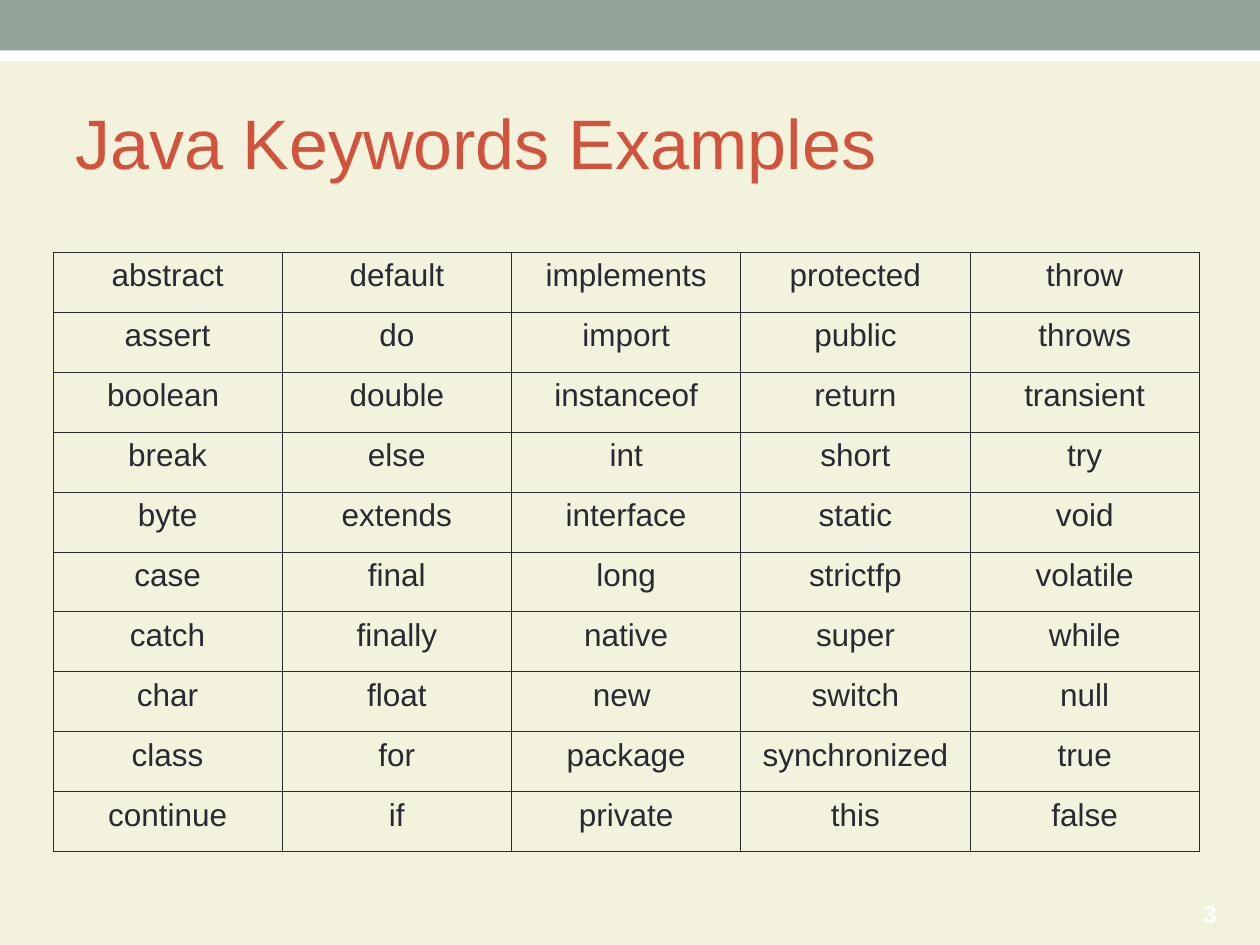
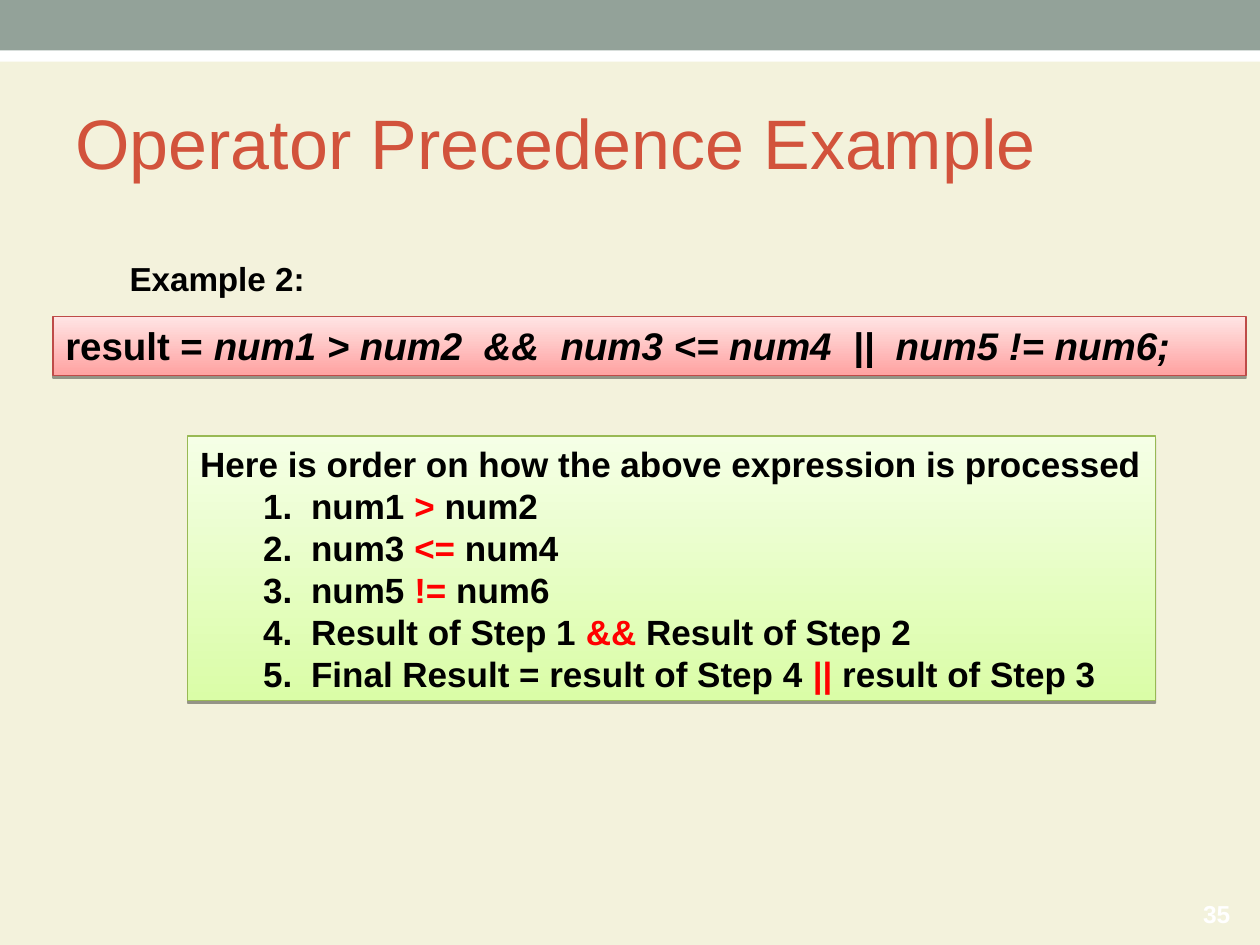
from lxml.etree import SubElement
from pptx import Presentation
from pptx.dml.color import RGBColor
from pptx.enum.shapes import MSO_SHAPE as Shape
from pptx.enum.text import MSO_ANCHOR as Anchor, PP_ALIGN as Align
from pptx.oxml import parse_xml
from pptx.oxml.ns import nsdecls, qn
from pptx.util import Inches, Pt

# Content
KEYWORD_TITLE, KEYWORD_NUMBER = "Java Keywords Examples", "3"
KEYWORDS = [
    ("abstract", "default", "implements", "protected", "throw"),
    ("assert", "do", "import", "public", "throws"),
    ("boolean ", "double", "instanceof", "return", "transient"),
    ("break", "else", "int", "short", "try"),
    ("byte", "extends", "interface", "static", "void"),
    ("case", "final", "long", "strictfp", "volatile"),
    ("catch", "finally", "native", "super", "while"),
    ("char", "float", "new ", "switch", "null"),
    ("class", "for", "package", "synchronized", "true"),
    ("continue", "if", "private", "this", "false"),
]
PRECEDENCE_TITLE, PRECEDENCE_NUMBER = "Operator Precedence Example", "35"
EXAMPLE_LABEL = "Example 2:"
EXPRESSION = ("result = ", "num1 > num2  &&  num3 <= num4  ||  num5 != num6;")
STEPS_HEADING = "Here is order on how the above expression is processed"
STEPS = [  # left side, operator, right side
    ("num1 ", ">", " num2"),
    ("num3 ", "<=", " num4"),
    ("num5 ", "!=", " num6"),
    ("Result of Step 1 ", "&&", " Result of Step 2"),
    ("Final Result = result of Step 4 ", "||", " result of Step 3"),
]

# Shared style
FONT = "Arial"
CREAM = RGBColor(0xF3, 0xF2, 0xDC)
SAGE = RGBColor(0x93, 0xA2, 0x99)
RUST = RGBColor(0xD2, 0x53, 0x3C)
INK = RGBColor(0x29, 0x29, 0x34)
WHITE = RGBColor(0xFF, 0xFF, 0xFF)
BLACK = RGBColor(0, 0, 0)
RED = RGBColor(0xFF, 0, 0)
# Panel colours: bottom, top, outline
PINK_PANEL = (RGBColor(0xFF, 0xA2, 0xA1), RGBColor(0xFF, 0xE5, 0xE5), RGBColor(0xBE, 0x4B, 0x48))
GREEN_PANEL = (RGBColor(0xDA, 0xFD, 0xA7), RGBColor(0xF5, 0xFF, 0xE6), RGBColor(0x98, 0xB9, 0x54))

SLIDE_WIDTH, SLIDE_HEIGHT = 10, 7.5
BANDS = [(0.24, 0.25, WHITE), (0, 0.4, SAGE)]  # top, height, colour
COLUMN_WIDTH, ROW_HEIGHT = 1.82, 0.476


def add_run(paragraph, text, size, color, bold=False, italic=False):
    run = paragraph.add_run()
    run.text = text
    font = run.font
    font.name, font.size, font.bold, font.italic = FONT, Pt(size), bold, italic
    font.color.rgb = color


def add_text(slide, box, text, size, color, bold=False, anchor=Anchor.TOP, wrap=True):
    frame = slide.shapes.add_textbox(*map(Inches, box)).text_frame
    frame.word_wrap, frame.vertical_anchor = wrap, anchor
    add_run(frame.paragraphs[0], text, size, color, bold)


def add_base_slide(presentation, title, number):
    """Slide with background, top bands, title and slide number."""
    slide = presentation.slides.add_slide(presentation.slide_layouts[6])
    slide.background.fill.solid()
    slide.background.fill.fore_color.rgb = CREAM
    for top, height, color in BANDS:
        band = slide.shapes.add_shape(
            Shape.RECTANGLE, 0, Inches(top), Inches(SLIDE_WIDTH), Inches(height))
        band.fill.solid()
        band.fill.fore_color.rgb = color
        band.line.fill.background()
        band.shadow.inherit = False
    add_text(slide, (0.5, 0.58, 9, 1.08), title, 40, RUST, anchor=Anchor.MIDDLE)
    add_text(slide, (9.45, 7.05, 0.5, 0.4), number, 14, WHITE, True, Anchor.MIDDLE, False)
    return slide


def add_panel(slide, box, colors):
    """Gradient rectangle with a thin drop shadow; returns its text frame."""
    bottom, top, outline = colors
    panel = slide.shapes.add_shape(Shape.RECTANGLE, *map(Inches, box))
    panel.fill.gradient()
    panel.fill.gradient_angle = 90
    for stop, color in zip(panel.fill.gradient_stops, (bottom, top)):
        stop.color.rgb = color
    panel.line.color.rgb, panel.line.width = outline, Pt(0.75)
    panel.shadow.inherit = False
    effects = panel._element.spPr.find(qn("a:effectLst"))
    effects.append(parse_xml(
        f'<a:outerShdw {nsdecls("a")} blurRad="0" dist="{Pt(1.6)}" dir="5400000" rotWithShape="0">'
        '<a:srgbClr val="000000"><a:alpha val="38000"/></a:srgbClr></a:outerShdw>'))
    frame = panel.text_frame
    frame.word_wrap, frame.vertical_anchor = True, Anchor.TOP
    frame.paragraphs[0].alignment = Align.LEFT
    return frame


def number_paragraph(paragraph):
    paragraph.level, paragraph.alignment = 1, Align.LEFT
    properties = paragraph._p.get_or_add_pPr()
    properties.set("marL", str(Inches(0.88)))
    properties.set("indent", str(Inches(-0.38)))
    SubElement(SubElement(properties, qn("a:buClr")), qn("a:srgbClr"), val=str(BLACK))
    SubElement(properties, qn("a:buFont"), typeface="+mj-lt")
    SubElement(properties, qn("a:buAutoNum"), type="arabicPeriod")


def add_borders(cell):
    properties = cell._tc.get_or_add_tcPr()
    for position, side in enumerate("LRTB"):
        properties.insert(position, parse_xml(
            f'<a:ln{side} {nsdecls("a")} w="{Pt(0.45)}"><a:solidFill>'
            f'<a:srgbClr val="{INK}"/></a:solidFill></a:ln{side}>'))


def build_keywords(presentation):
    slide = add_base_slide(presentation, KEYWORD_TITLE, KEYWORD_NUMBER)
    rows, columns = len(KEYWORDS), len(KEYWORDS[0])
    table = slide.shapes.add_table(
        rows, columns, Inches(0.42), Inches(2),
        Inches(columns * COLUMN_WIDTH), Inches(rows * ROW_HEIGHT)).table
    table.first_row = table.horz_banding = False
    for column in table.columns:
        column.width = Inches(COLUMN_WIDTH)
    for row, words in zip(table.rows, KEYWORDS):
        row.height = Inches(ROW_HEIGHT)
        for cell, word in zip(row.cells, words):
            cell.fill.background()
            add_borders(cell)
            paragraph = cell.text_frame.paragraphs[0]
            paragraph.alignment = Align.CENTER
            add_run(paragraph, word, 18, INK)


def build_precedence(presentation):
    slide = add_base_slide(presentation, PRECEDENCE_TITLE, PRECEDENCE_NUMBER)
    # Expression
    expression = add_panel(slide, (0.42, 2.51, 9.47, 0.47), PINK_PANEL).paragraphs[0]
    for text, italic in zip(EXPRESSION, (False, True)):
        add_run(expression, text, 22, BLACK, True, italic)
    # Numbered order of evaluation
    frame = add_panel(slide, (1.49, 3.46, 7.68, 2.1), GREEN_PANEL)
    add_run(frame.paragraphs[0], STEPS_HEADING, 20, BLACK, True)
    for step in STEPS:
        paragraph = frame.add_paragraph()
        number_paragraph(paragraph)
        for text, color in zip(step, (BLACK, RED, BLACK)):
            add_run(paragraph, text, 20, color, True)
    # Label
    add_text(slide, (0.93, 2, 1.66, 0.42), EXAMPLE_LABEL, 19, BLACK, True, wrap=False)


def main():
    presentation = Presentation()
    presentation.slide_width = Inches(SLIDE_WIDTH)
    presentation.slide_height = Inches(SLIDE_HEIGHT)
    build_keywords(presentation)
    build_precedence(presentation)
    presentation.save("out.pptx")


if __name__ == "__main__":
    main()
